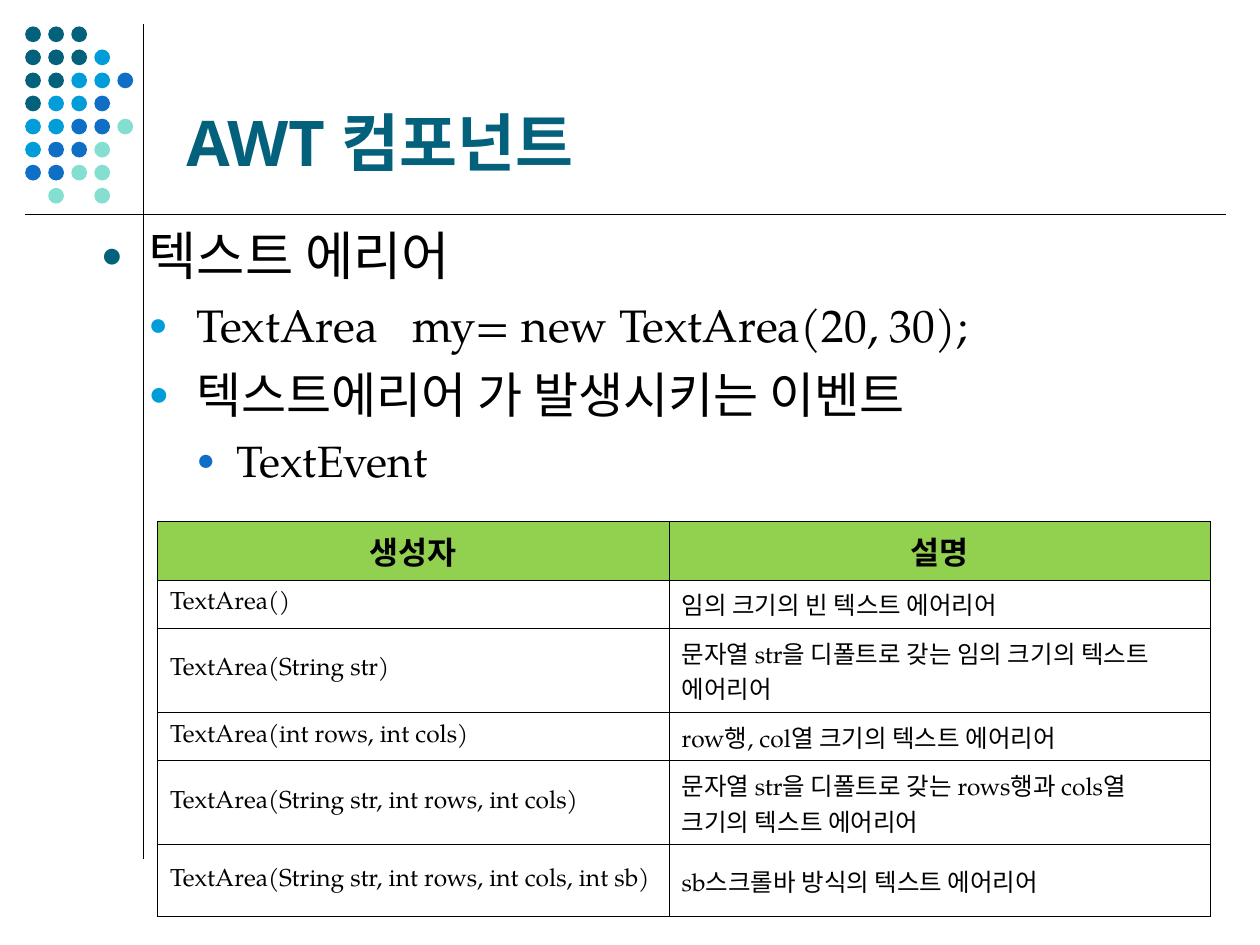
"""Build a slide on the AWT text area component and its constructors."""
from dataclasses import dataclass

import pptx
import pptx.dml.color
import pptx.enum.shapes
import pptx.enum.text
import pptx.oxml
import pptx.oxml.ns
import pptx.util
from pptx.util import Inches

NAMESPACE = pptx.oxml.ns.nsdecls("a")
TITLE_FONT = "Noto Sans"
BODY_FONT = "TeX Gyre Pagella"
TEAL, SKY, BLUE, MINT = "04617B", "009DD9", "0F6FC6", "85DFD0"
BLACK, WHITE, GREEN = "000000", "FFFFFF", "92D050"
DOT_COLORS = {"T": TEAL, "S": SKY, "B": BLUE, "M": MINT}
DOT_ROWS = ["TTT", "TTTS", "TTSSB", "TSSB", "SSBBM", "SBBM", "BBMM", " M M"]
DOT_SIZE, DOT_PITCH = 0.125, 0.183
COLUMN_WIDTHS = [4.06, 4.3]
ROW_HEIGHTS = [0.4, 0.34, 0.57, 0.34, 0.57, 0.57]
TABLE_ROWS = [
    ("생성자", "설명"),
    ("TextArea()", "임의 크기의 빈 텍스트 에어리어"),
    ("TextArea(String str)", "문자열 str을 디폴트로 갖는 임의 크기의 텍스트 에어리어"),
    ("TextArea(int rows, int cols)", "row행, col열 크기의 텍스트 에어리어"),
    ("TextArea(String str, int rows, int cols)",
     "문자열 str을 디폴트로 갖는 rows행과 cols열 크기의 텍스트 에어리어"),
    ("TextArea(String str, int rows, int cols, int sb)",
     "sb스크롤바 방식의 텍스트 에어리어"),
]


@dataclass
class Bullet:
    text: str
    level: int
    size: float
    space_before: float


BULLETS = [
    Bullet("텍스트 에리어", 0, 30, 0),
    Bullet("TextArea   my= new TextArea(20, 30);", 1, 26, 6.5),
    Bullet("텍스트에리어 가 발생시키는 이벤트", 1, 28, 7),
    Bullet("TextEvent", 2, 25, 6.2),
]
BULLET_COLORS = [TEAL, SKY, BLUE]
BULLET_INDENTS = [(0.38, -0.38), (0.76, -0.38), (1.08, -0.32)]


def rgb(color: str) -> pptx.dml.color.RGBColor:
    return pptx.dml.color.RGBColor.from_string(color)


def write(para, text: str, *, size: float, font: str = BODY_FONT,
          color: str = BLACK, bold: bool = False, align: str = "LEFT") -> None:
    para.alignment = pptx.enum.text.PP_ALIGN[align]
    span = para.add_run()
    span.text = text
    span.font.name = font
    span.font.size = pptx.util.Pt(size)
    span.font.bold = bold
    span.font.color.rgb = rgb(color)


def place(shape, left: float, top: float, width: float, height: float) -> None:
    shape.left, shape.top = Inches(left), Inches(top)
    shape.width, shape.height = Inches(width), Inches(height)


def draw_line(page, left: float, top: float, right: float, bottom: float) -> None:
    line = page.shapes.add_connector(
        pptx.enum.shapes.MSO_CONNECTOR.STRAIGHT,
        Inches(left), Inches(top), Inches(right), Inches(bottom))
    line.line.color.rgb = rgb(BLACK)
    line.line.width = pptx.util.Pt(0.75)
    properties = line.element.find(pptx.oxml.ns.qn("p:spPr"))
    properties.append(pptx.oxml.parse_xml(f"<a:effectLst {NAMESPACE}/>"))


def draw_dots(page) -> None:
    group = page.shapes.add_group_shape()
    for row, pattern in enumerate(DOT_ROWS):
        for column, key in enumerate(pattern):
            if key == " ":
                continue
            dot = group.shapes.add_shape(
                pptx.enum.shapes.MSO_SHAPE.OVAL,
                Inches(0.2 + column * DOT_PITCH), Inches(0.21 + row * DOT_PITCH),
                Inches(DOT_SIZE), Inches(DOT_SIZE))
            dot.shadow.inherit = False
            dot.fill.solid()
            dot.fill.fore_color.rgb = rgb(DOT_COLORS[key])
            dot.line.fill.background()


def fill_title(title) -> None:
    place(title, 1.38, 0.21, 8.25, 1.26)
    title.text_frame.vertical_anchor = pptx.enum.text.MSO_ANCHOR.BOTTOM
    write(title.text_frame.paragraphs[0], "AWT 컴포넌트",
          size=36, font=TITLE_FONT, color=TEAL, bold=True)


def fill_body(body) -> None:
    place(body, 0.7, 1.72, 9.3, 4.82)
    box = body.text_frame
    box.auto_size = pptx.enum.text.MSO_AUTO_SIZE.NONE
    for index, bullet in enumerate(BULLETS):
        para = box.add_paragraph() if index else box.paragraphs[0]
        para.level = bullet.level
        para.space_before = pptx.util.Pt(bullet.space_before)
        margin, indent = BULLET_INDENTS[bullet.level]
        properties = para._p.get_or_add_pPr()
        properties.set("marL", str(Inches(margin)))
        properties.set("indent", str(Inches(indent)))
        for markup in (
            f'<a:buClr {NAMESPACE}><a:srgbClr val="{BULLET_COLORS[bullet.level]}"/></a:buClr>',
            f'<a:buSzPct {NAMESPACE} val="70000"/>',
            f'<a:buChar {NAMESPACE} char="●"/>',
        ):
            properties.append(pptx.oxml.parse_xml(markup))
        write(para, bullet.text, size=bullet.size)


def style_cell(cell, fill: str) -> None:
    properties = cell._tc.get_or_add_tcPr()
    for side in ("lnL", "lnR", "lnT", "lnB"):
        properties.append(pptx.oxml.parse_xml(
            f'<a:{side} {NAMESPACE} w="{pptx.util.Pt(0.45)}"><a:solidFill>'
            f'<a:srgbClr val="{BLACK}"/></a:solidFill></a:{side}>'))
    cell.fill.solid()
    cell.fill.fore_color.rgb = rgb(fill)
    cell.vertical_anchor = pptx.enum.text.MSO_ANCHOR.MIDDLE


def draw_table(page) -> None:
    table = page.shapes.add_table(
        len(TABLE_ROWS), len(COLUMN_WIDTHS), Inches(1.25), Inches(4.14),
        Inches(sum(COLUMN_WIDTHS)), Inches(sum(ROW_HEIGHTS))).table
    table.first_row = table.horz_banding = False
    for column, width in zip(table.columns, COLUMN_WIDTHS):
        column.width = Inches(width)
    for row, (height, texts) in enumerate(zip(ROW_HEIGHTS, TABLE_ROWS)):
        table.rows[row].height = Inches(height)
        header = row == 0
        for column, text in enumerate(texts):
            cell = table.cell(row, column)
            style_cell(cell, GREEN if header else WHITE)
            write(cell.text_frame.paragraphs[0], text, size=18 if header else 14,
                  bold=header, align="CENTER" if header else "LEFT")


def main() -> None:
    deck = pptx.Presentation()
    deck.slide_width, deck.slide_height = Inches(10), Inches(7.5)
    page = deck.slides.add_slide(deck.slide_layouts[1])
    draw_line(page, 1.14, 0.19, 1.14, 6.82)
    draw_dots(page)
    draw_line(page, 0.2, 1.7, 9.73, 1.7)
    fill_title(page.shapes.title)
    fill_body(page.placeholders[1])
    draw_table(page)
    deck.save("out.pptx")


if __name__ == "__main__":
    main()
